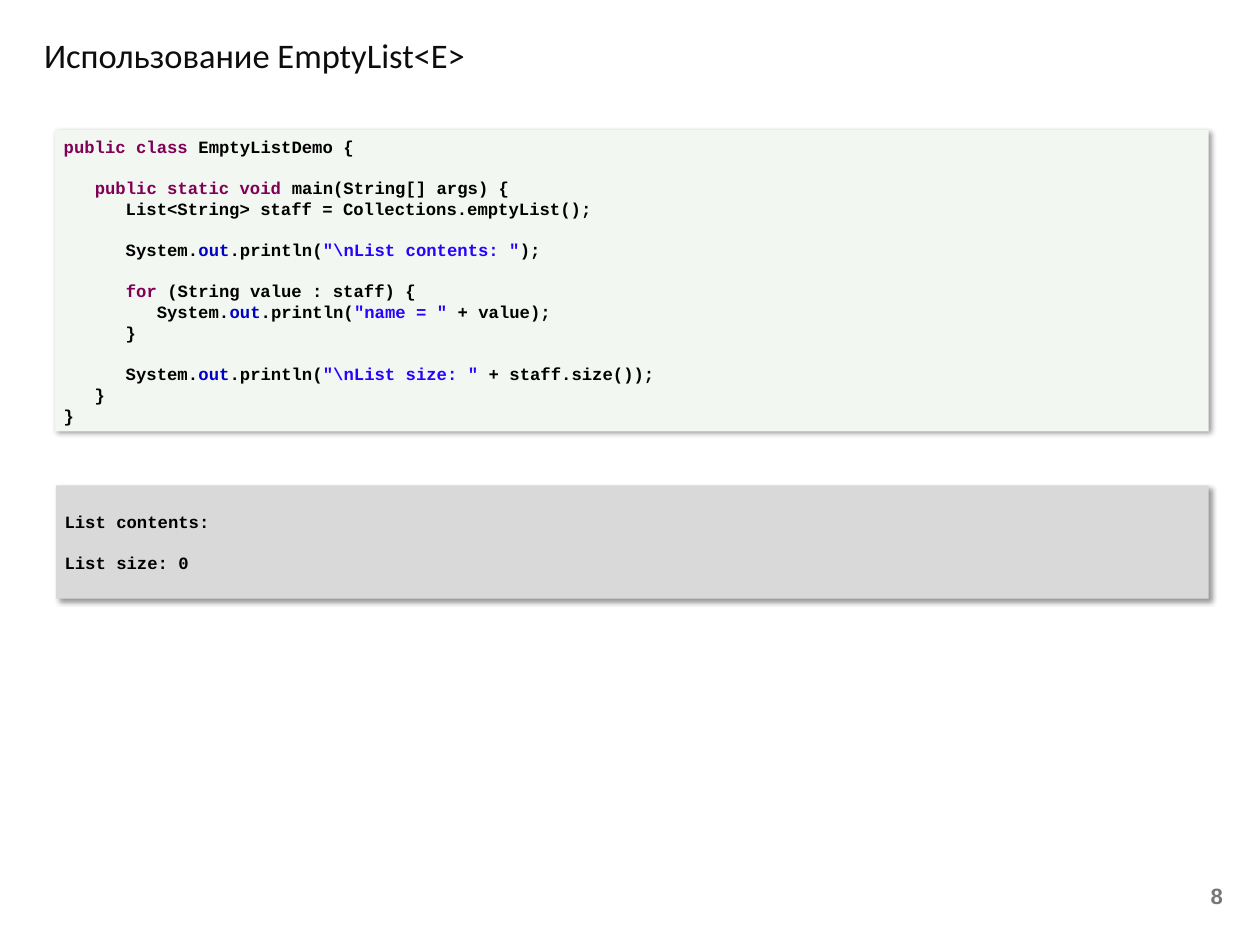
"""Build the EmptyList usage slide with its code and output panels."""
import lxml.etree
import pptx
import pptx.dml.color
import pptx.enum.shapes
import pptx.enum.text
import pptx.oxml.ns
import pptx.util

Inches, Pt = pptx.util.Inches, pptx.util.Pt
ALIGN, ANCHOR = pptx.enum.text.PP_ALIGN, pptx.enum.text.MSO_ANCHOR
BLACK, KEYWORD, FIELD, STRING = "000000", "7F0055", "0000C0", "2A00FF"


def rgb(value):
    return pptx.dml.color.RGBColor.from_string(value)


def println(indent, literal, rest):
    return [(indent + "System.", BLACK), ("out", FIELD), (".println(", BLACK),
            (literal, STRING), (rest, BLACK)]


class SlideBuilder:
    code_font, code_size, code_pitch = "Courier New", Pt(14), Pt(16.8)

    def __init__(self, prs):
        self.s = prs.slides.add_slide(prs.slide_layouts[6])

    def label(self, text, box, font, size, color, bold=False, align=ALIGN.LEFT, wrap=True):
        tf = self.s.shapes.add_textbox(*map(Inches, box)).text_frame
        tf.word_wrap = wrap
        tf.vertical_anchor = ANCHOR.MIDDLE
        p = tf.paragraphs[0]
        p.text = text
        p.alignment = align
        p.font.name, p.font.size, p.font.bold = font, Pt(size), bold
        p.font.color.rgb = rgb(color)

    def shadow(self, sp):
        sp.shadow.inherit = False
        qn = pptx.oxml.ns.qn
        effects = sp.element.spPr.find(qn("a:effectLst"))
        outer = lxml.etree.SubElement(
            effects, qn("a:outerShdw"), blurRad=str(Pt(4)), dist=str(Pt(3)),
            dir="2700000", algn="tl", rotWithShape="0")
        color = lxml.etree.SubElement(outer, qn("a:srgbClr"), val=BLACK)
        lxml.etree.SubElement(color, qn("a:alpha"), val="40000")

    def code_panel(self, blocks, box, fill):
        sp = self.s.shapes.add_shape(
            pptx.enum.shapes.MSO_SHAPE.RECTANGLE, *map(Inches, box))
        sp.fill.solid()
        sp.fill.fore_color.rgb = rgb(fill)
        sp.line.fill.background()
        self.shadow(sp)
        tf = sp.text_frame
        tf.word_wrap = True
        tf.vertical_anchor = ANCHOR.MIDDLE
        p = tf.paragraphs[0]
        for b, block in enumerate(blocks):
            for i, line in enumerate(block):
                if b or i:
                    p = tf.add_paragraph()
                p.alignment = ALIGN.LEFT
                p.line_spacing = self.code_pitch
                p.space_before = self.code_pitch if b and not i else Pt(0)
                p.font.name, p.font.size, p.font.bold = self.code_font, self.code_size, True
                for text, color in line:
                    r = p.add_run()
                    r.text = text
                    r.font.color.rgb = rgb(color)


def main():
    prs = pptx.Presentation()
    prs.slide_width, prs.slide_height = Inches(14.22), Inches(10.67)
    slide = SlideBuilder(prs)
    slide.label("Использование EmptyList<E>", (0.4, 0.3, 11.03, 0.63),
                "Calibri", 28, "0D0D0D", wrap=False)
    slide.label("8", (10.58, 9.85, 3.32, 0.53), "Arial", 18, "777777",
                bold=True, align=ALIGN.RIGHT)
    code = [
        [[("public class", KEYWORD), (" EmptyListDemo {", BLACK)]],
        [[("   ", BLACK), ("public static void", KEYWORD),
          (" main(String[] args) {", BLACK)],
         [("      List<String> staff = Collections.emptyList();", BLACK)]],
        [println("      ", '"\\nList contents: "', ");")],
        [[("      ", BLACK), ("for", KEYWORD), (" (String value : staff) {", BLACK)],
         println("         ", '"name = "', " + value);"),
         [("      }", BLACK)]],
        [println("      ", '"\\nList size: "', " + staff.size());"),
         [("   }", BLACK)],
         [("}", BLACK)]],
    ]
    slide.code_panel(code, (0.62, 1.47, 13.02, 3.4), "F2F7F2")
    output = [[[("List contents:", BLACK)]], [[("List size: 0", BLACK)]]]
    slide.code_panel(output, (0.63, 5.48, 13.01, 1.28), "D9D9D9")
    prs.save("out.pptx")


if __name__ == "__main__":
    main()
